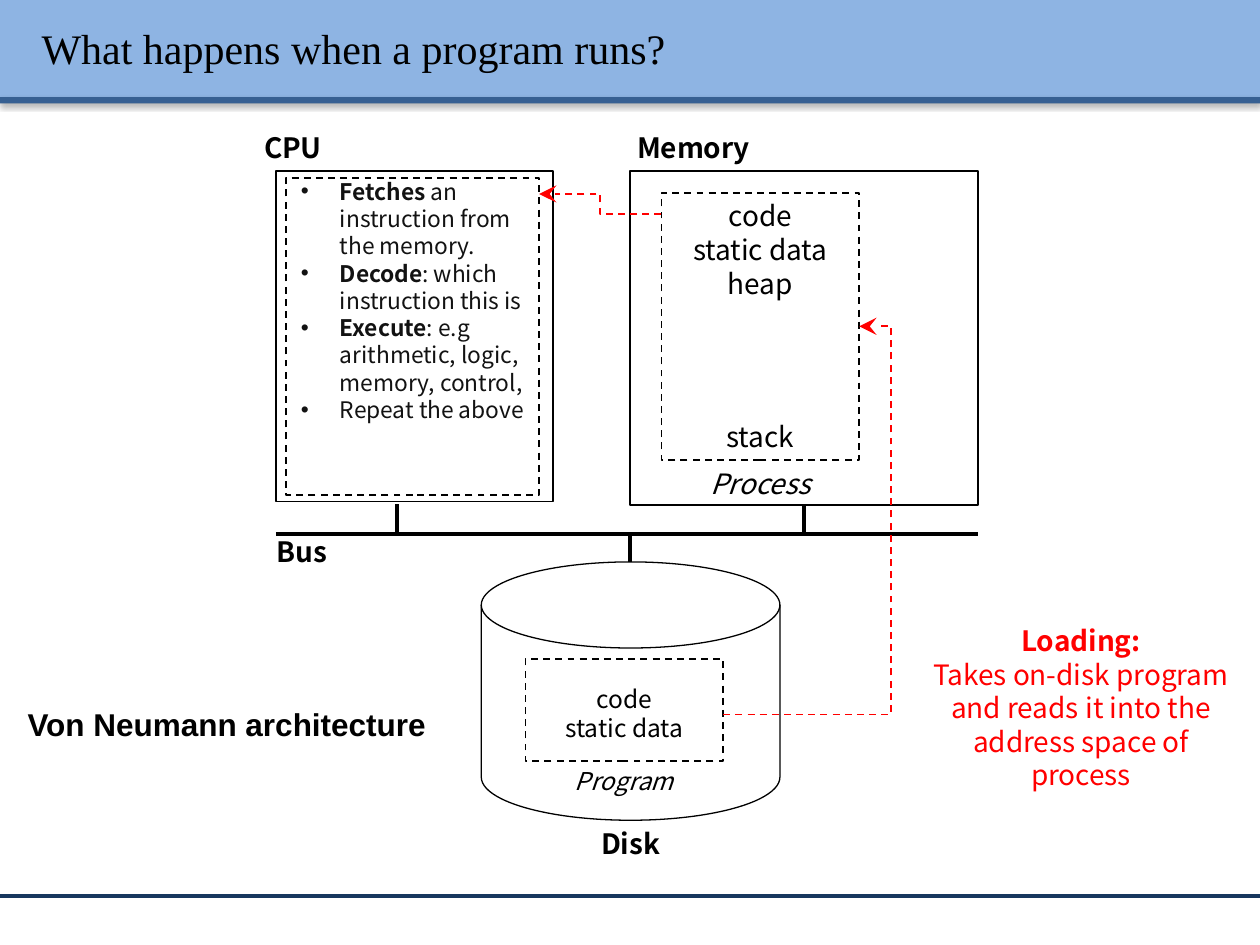
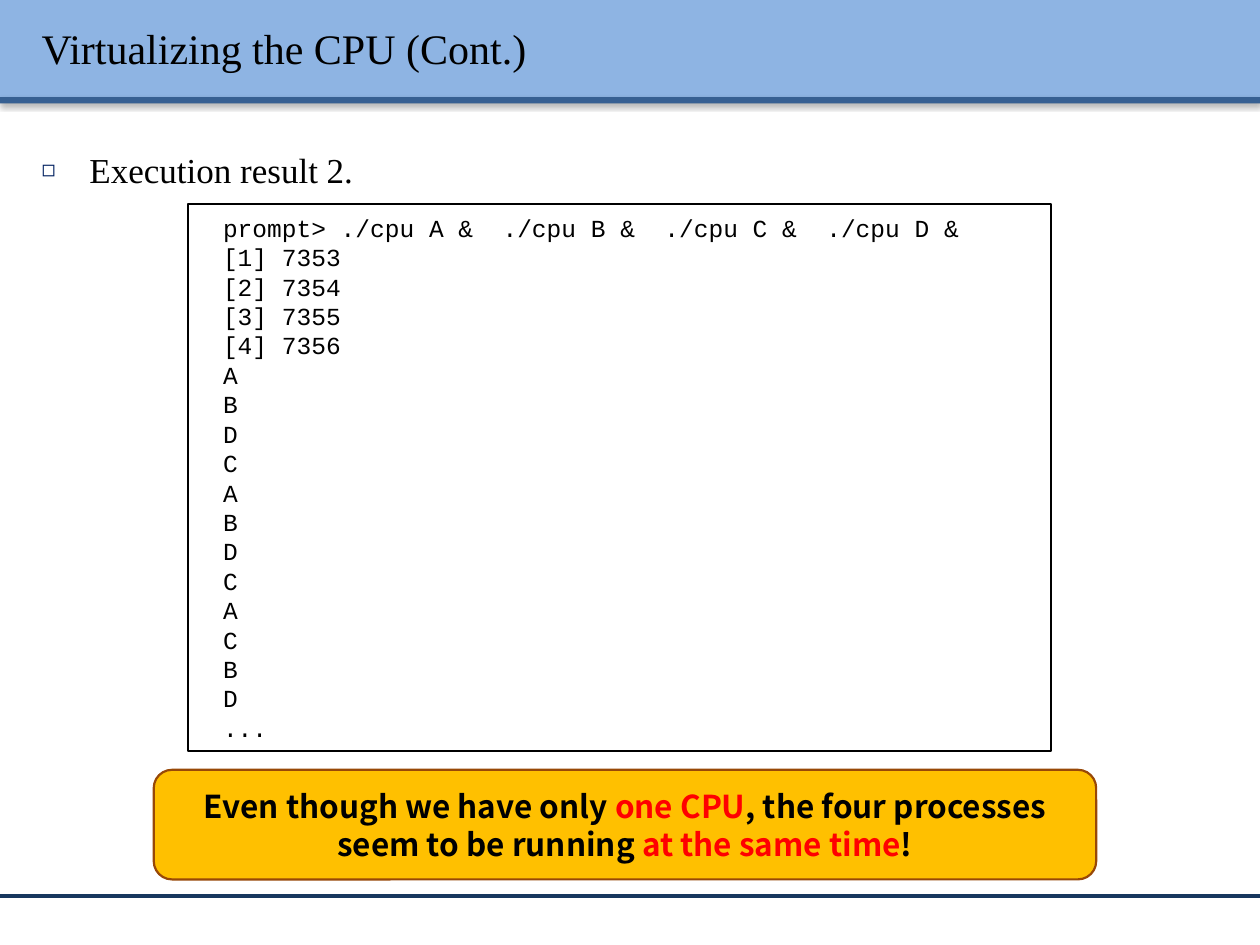
import pptx
import pptx.dml.color
import pptx.enum.dml
import pptx.enum.shapes
import pptx.enum.text
import pptx.oxml
import pptx.oxml.ns
import pptx.util
from lxml import etree

Inches = pptx.util.Inches
Pt = pptx.util.Pt
qn = pptx.oxml.ns.qn
rgb = pptx.dml.color.RGBColor.from_string
SHAPE = pptx.enum.shapes.MSO_SHAPE
CONNECTOR = pptx.enum.shapes.MSO_CONNECTOR
ALIGN = pptx.enum.text.PP_ALIGN
ANCHOR = pptx.enum.text.MSO_ANCHOR
DASH = pptx.enum.dml.MSO_LINE.DASH

# Shared style
BLACK, WHITE, RED = "000000", "FFFFFF", "FF0000"
SANS, SERIF, MONO = "Noto Sans CJK KR", "Times New Roman", "Courier New"
LEADING = 1.2
BANDS = [(0, 0.77, "8EB4E3"), (0.77, 0.05, "376092")]
FOOTER_LINE = "17375E"
TITLES = ["What happens when a program runs?", "Virtualizing the CPU (Cont.)"]
SHADOW = ('<a:outerShdw xmlns:a="http://schemas.openxmlformats.org/drawingml/2006/main" '
          'blurRad="39370" dist="20320" dir="5400000" rotWithShape="0">'
          '<a:srgbClr val="000000"><a:alpha val="38000"/></a:srgbClr></a:outerShdw>')


def write_text(frame, lines, size, font=SANS, align=ALIGN.CENTER, bold=False,
               italic=False, colour=BLACK, strong_colour=None):
    """Fill a text frame; parts between bars are bold and in strong_colour."""
    frame.word_wrap = True
    for number, line in enumerate(lines):
        paragraph = frame.paragraphs[0] if number == 0 else frame.add_paragraph()
        paragraph.alignment = align
        paragraph.line_spacing = Pt(size * LEADING)
        for index, part in enumerate(line.split("|")):
            if not part:
                continue
            strong = index % 2 == 1
            run = paragraph.add_run()
            run.text = part
            run.font.size = Pt(size)
            run.font.name = font
            run.font.bold = bold or strong
            run.font.italic = italic
            run.font.color.rgb = rgb(strong_colour if strong and strong_colour else colour)


def draw(slide, kind, place, fill=None, line=None, width=1, dash=False):
    """Add a preset shape at (left, top, width, height) or a connector between two points."""
    lengths = [Inches(value) for value in place]
    if isinstance(kind, CONNECTOR):
        shape = slide.shapes.add_connector(kind, *lengths)
    else:
        shape = slide.shapes.add_shape(kind, *lengths)
        shape.fill.solid()
        shape.fill.fore_color.rgb = rgb(fill)
        shape.shadow.inherit = False
    if line:
        shape.line.color.rgb = rgb(line)
        shape.line.width = Pt(width)
        if dash:
            shape.line.dash_style = DASH
    else:
        shape.line.fill.background()
    if isinstance(kind, CONNECTOR):
        etree.SubElement(shape.element.spPr, qn("a:effectLst"))
    return shape


presentation = pptx.Presentation()
presentation.slide_width = Inches(10)
presentation.slide_height = Inches(7.5)

# Bands, footer line and titles
slides = []
for title_text, layout in zip(TITLES, (5, 1)):
    slide = presentation.slides.add_slide(presentation.slide_layouts[layout])
    slides.append(slide)
    for top, height, colour in BANDS:
        band = draw(slide, SHAPE.RECTANGLE, (0, top, 10, height), colour)
        band.element.spPr.find(qn("a:effectLst")).append(pptx.oxml.parse_xml(SHADOW))
    draw(slide, CONNECTOR.STRAIGHT, (0, 7.11, 10, 7.11), line=FOOTER_LINE, width=2)

    title = slide.shapes.title
    title.left, title.top = Inches(0.23), Inches(0.06)
    title.width, title.height = Inches(9.61), Inches(0.64)
    title.text_frame.text = title_text
    title.text_frame.auto_size = pptx.enum.text.MSO_AUTO_SIZE.NONE
    title.text_frame.vertical_anchor = ANCHOR.MIDDLE
    title.text_frame.paragraphs[0].alignment = ALIGN.LEFT
    font = title.text_frame.paragraphs[0].runs[0].font
    font.size, font.name = Pt(24), SERIF
    font.color.rgb = rgb(BLACK)
    run_properties = title.text_frame.paragraphs[0].runs[0]._r.rPr
    effects = etree.Element(qn("a:effectLst"))
    effects.append(pptx.oxml.parse_xml(SHADOW))
    run_properties.find(qn("a:latin")).addprevious(effects)
    title.element.getparent().append(title.element)  # in front of the bands

# Slide 1: CPU, memory and disk
architecture, execution = slides
for kind, place, width, dash in [
    (SHAPE.RECTANGLE, (5, 1.36, 2.76, 2.65), 1, False),
    (SHAPE.RECTANGLE, (5.25, 1.53, 1.57, 2.12), 1, True),
    (SHAPE.FLOWCHART_MAGNETIC_DISK, (3.82, 4.46, 2.37, 2.05), 0.75, False),
    (SHAPE.RECTANGLE, (4.17, 5.23, 1.57, 0.81), 1, True),
    (SHAPE.RECTANGLE, (2.19, 1.36, 2.2, 2.62), 1, False),
]:
    draw(architecture, kind, place, WHITE, BLACK, width, dash)

# Bus and its three taps
for place in [(2.19, 4.24, 7.76, 4.24), (3.15, 4, 3.15, 4.22),
              (6.38, 4.02, 6.38, 4.24), (5, 4.24, 5, 4.46)]:
    draw(architecture, CONNECTOR.STRAIGHT, place, line=BLACK, width=2)

# Labels
bold, italic, red = {"bold": True}, {"italic": True}, {"colour": RED}
for lines, place, size, style in [
    (["CPU"], (1.54, 0.99, 1.57, 0.37), 16, bold),
    (["Memory"], (4.72, 0.99, 1.57, 0.37), 16, bold),
    (["Bus"], (1.61, 4.19, 1.57, 0.37), 16, bold),
    (["Disk"], (4.22, 6.51, 1.57, 0.37), 16, bold),
    (["code", "static data", "heap"], (5.25, 1.53, 1.57, 0.94), 16, {}),
    (["stack"], (5.25, 3.28, 1.57, 0.37), 16, {}),
    (["Process"], (5.25, 3.65, 1.57, 0.37), 16, italic),
    (["code", "static data"], (4.17, 5.38, 1.57, 0.57), 14, {}),
    (["Program"], (4.17, 6.03, 1.57, 0.34), 14, italic),
    (["|Loading:|", "Takes on-disk program",
      "and reads it into the address space of process"], (7.28, 4.9, 2.6, 1.45), 16, red),
]:
    box = architecture.shapes.add_textbox(*[Inches(value) for value in place])
    write_text(box.text_frame, lines, size, **style)

caption = architecture.shapes.add_textbox(Inches(0.12), Inches(5.55), Inches(3.39), Inches(0.4))
write_text(caption.text_frame, ["Von Neumann architecture"], 18, "Arial", ALIGN.LEFT, bold=True)
caption.text_frame.word_wrap = False

# CPU cycle
cycle = architecture.shapes.add_textbox(Inches(1.79), Inches(1.36), Inches(2.5), Inches(2.51))
write_text(cycle.text_frame, [
    "|Fetches |an instruction from the memory.",
    "|Decode|: which instruction this is",
    "|Execute|: e.g arithmetic, logic, memory, control,",
    "Repeat the above",
], 13, align=ALIGN.LEFT)
for paragraph in cycle.text_frame.paragraphs:
    properties = paragraph._p.get_or_add_pPr()
    properties.set("marL", str(Inches(0.81)))
    properties.set("indent", str(Inches(-0.31)))
    etree.SubElement(properties, qn("a:buFont"), typeface="Arial")
    etree.SubElement(properties, qn("a:buChar"), char="•")
cycle_frame = draw(architecture, SHAPE.RECTANGLE, (2.27, 1.41, 2.01, 2.52),
                   WHITE, BLACK, dash=True)
fill_colour = cycle_frame.element.spPr.find(qn("a:solidFill"))[0]
etree.SubElement(fill_colour, qn("a:alpha"), val="7000")

# Loading and fetching arrows
for place, bend in [((5.74, 5.67, 6.82, 2.59), 123200), ((5.25, 1.7, 4.28, 1.54), 50000)]:
    arrow = draw(architecture, CONNECTOR.ELBOW, place, line=RED, dash=True)
    etree.SubElement(arrow.element.spPr.find(qn("a:ln")), qn("a:tailEnd"),
                     type="stealth", w="lg", len="lg")
    geometry = arrow.element.spPr.find(qn("a:prstGeom"))
    adjustments = geometry.find(qn("a:avLst"))
    if adjustments is None:
        adjustments = etree.SubElement(geometry, qn("a:avLst"))
    etree.SubElement(adjustments, qn("a:gd"), name="adj1", fmla=f"val {bend}")

# Slide 2: heading
body = execution.placeholders[1]
body.left, body.top = Inches(0.23), Inches(0.96)
body.width, body.height = Inches(9.61), Inches(6.02)
write_text(body.text_frame, ["Execution result 2."], 20, SERIF, ALIGN.LEFT)
paragraph = body.text_frame.paragraphs[0]
paragraph.line_spacing = 1.5
paragraph.space_before = Pt(4)
properties = paragraph._p.get_or_add_pPr()
properties.set("marL", str(Inches(0.38)))
properties.set("indent", str(Inches(-0.38)))
bullet_colour = etree.SubElement(properties, qn("a:buClr"))
etree.SubElement(bullet_colour, qn("a:srgbClr"), val="002060")
etree.SubElement(properties, qn("a:buSzPct"), val="65000")
etree.SubElement(properties, qn("a:buChar"), char="◻")

# Terminal output
terminal = draw(execution, SHAPE.RECTANGLE, (1.49, 1.62, 6.85, 4.34), WHITE, BLACK)
terminal.text_frame.margin_left = Inches(0.28)
terminal.text_frame.vertical_anchor = ANCHOR.MIDDLE
jobs = [f"[{job}] {7352 + job}" for job in range(1, 5)]
write_text(terminal.text_frame,
           ["prompt> ./cpu A &  ./cpu B &  ./cpu C &  ./cpu D &", *jobs, *"ABDCABDCACBD", "..."],
           14, MONO, ALIGN.LEFT)

# Conclusion
conclusion = draw(execution, SHAPE.ROUNDED_RECTANGLE, (1.22, 6.11, 7.48, 0.87),
                  "FFC000", "984807", 1.25)
conclusion.text_frame.margin_left = conclusion.text_frame.margin_right = Inches(0.12)
conclusion.text_frame.vertical_anchor = ANCHOR.MIDDLE
write_text(conclusion.text_frame,
           ["Even though we have only |one CPU|, the four processes "
            "seem to be running |at the same time|!"],
           18, bold=True, strong_colour=RED)

presentation.save("out.pptx")
